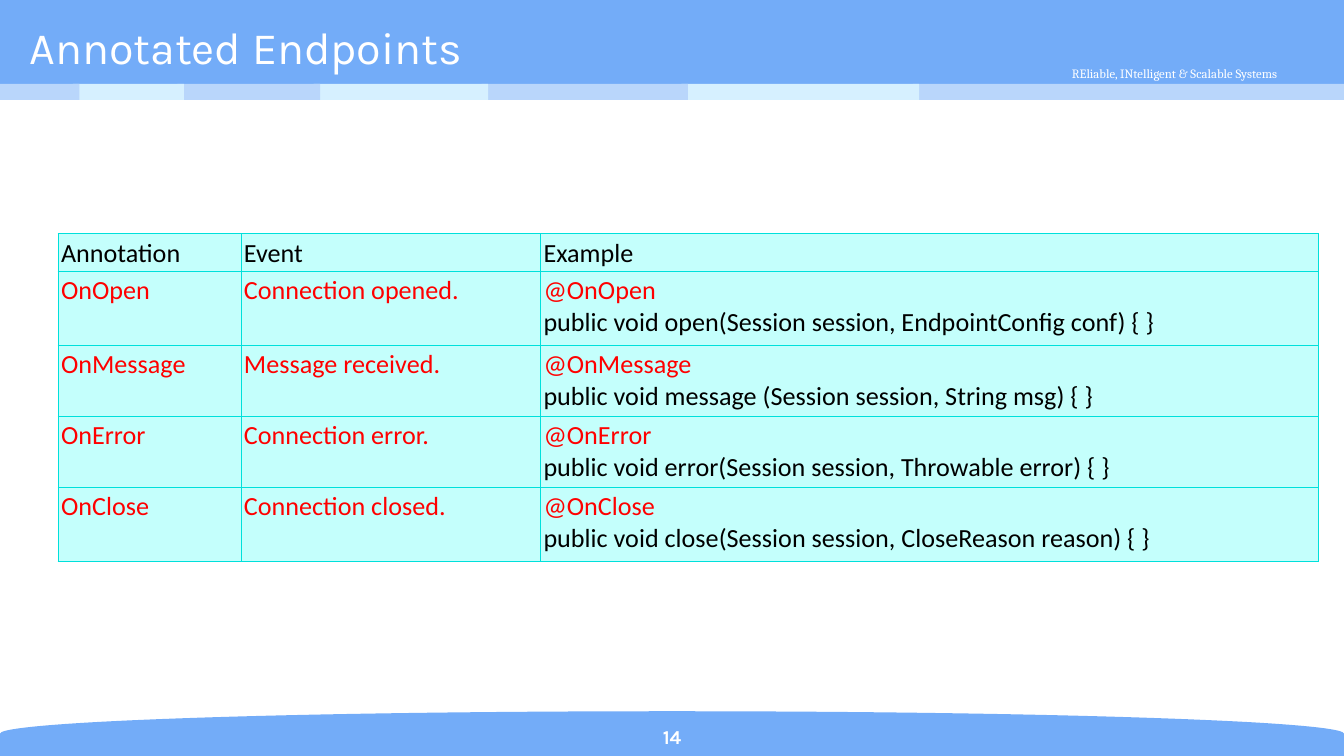
"""Build the slide on annotated endpoints."""
from lxml import etree
from pptx import Presentation
from pptx.dml.color import RGBColor
from pptx.enum.shapes import MSO_SHAPE
from pptx.enum.text import MSO_ANCHOR, MSO_AUTO_SIZE, PP_ALIGN
from pptx.oxml.ns import qn
from pptx.util import Pt

RECT, DELAY = MSO_SHAPE.RECTANGLE, MSO_SHAPE.FLOWCHART_DELAY
TOP, MIDDLE, BOTTOM = MSO_ANCHOR.TOP, MSO_ANCHOR.MIDDLE, MSO_ANCHOR.BOTTOM
LEFT, CENTER = PP_ALIGN.LEFT, PP_ALIGN.CENTER
FIXED = MSO_AUTO_SIZE.NONE

THEME = {
    "blue": "73ACF8", "strips": ("B9D6FB", "D6F0FF"),
    "cell": "C4FFFC", "edge": "00E0DB",
    "title": {"name": "Karla", "size": 24, "color": "FFFFFF", "bold": False},
    "motto": {"name": "Cambria", "size": 6.8, "color": "FFFFFF"},
    "page": {"name": "Karla", "size": 10.5, "color": "FFFFFF", "bold": True},
    "plain": {"name": "Calibri", "size": 14, "color": "000000"},
    "key": {"name": "Calibri", "size": 14, "color": "FF0000"},
}
WIDTH, HEIGHT = 720, 405


def write(para, text, style, align=LEFT):
    para.alignment = align
    run = para.add_run()
    run.text = text
    for name, value in THEME[style].items():
        if name == "color":
            run.font.color.rgb = RGBColor.from_string(value)
        else:
            setattr(run.font, name, Pt(value) if name == "size" else value)


def block(kind, box, color):
    shape = shapes.add_shape(kind, *map(Pt, box))
    shape.shadow.inherit = False
    shape.fill.solid()
    shape.fill.fore_color.rgb = RGBColor.from_string(color)
    shape.line.fill.background()
    return shape


deck = Presentation()
deck.slide_width, deck.slide_height = Pt(WIDTH), Pt(HEIGHT)
slide = deck.slides.add_slide(deck.slide_layouts[5])
shapes = slide.shapes

block(DELAY, (348, 33, 24, WIDTH), THEME["blue"]).rotation = 270
block(RECT, (0, 0, WIDTH, 46.5), THEME["blue"])

strips, left = [], 0
for i in range(7):
    wide = 42.5 + 17 * i if i < 6 else WIDTH - left
    strips.append(((left, 45, wide, 8.5), THEME["strips"][i % 2]))
    left += wide - 3.5
for box, color in reversed(strips):
    block(RECT, box, color)

title = shapes.title
shapes.element.append(title.element)
labels = [
    (title, "Annotated Endpoints", "title", (8.5, 8.5, 537, 32.5), MIDDLE, LEFT),
    (None, "REliable, INtelligent & Scalable Systems", "motto",
     (541.5, 31.5, 175.5, 15.5), TOP, CENTER),
    (None, "14", "page", (320.5, 385, 79, 19), MIDDLE, CENTER),
]
for label, text, style, box, anchor, align in labels:
    label = label or shapes.add_textbox(0, 0, 0, 0)
    for name, value in zip(("left", "top", "width", "height"), box):
        setattr(label, name, Pt(value))
    frame = label.text_frame
    form = {"word_wrap": True, "auto_size": FIXED, "vertical_anchor": anchor}
    for name, value in form.items():
        setattr(frame, name, value)
    write(frame.paragraphs[0], text, style, align)

events = [
    ("OnOpen", "Connection opened.",
     "public void open(Session session, EndpointConfig conf) { }"),
    ("OnMessage", "Message received.",
     "public void message (Session session, String msg) { }"),
    ("OnError", "Connection error.",
     "public void error(Session session, Throwable error) { }"),
    ("OnClose", "Connection closed.",
     "public void close(Session session, CloseReason reason) { }"),
]
rows = [[[(head, "plain")] for head in ("Annotation", "Event", "Example")]]
for name, event, code in events:
    rows.append([[(name, "key")], [(event, "key")],
                 [("@" + name, "key"), (code, "plain")]])

cols, highs = (98, 160.5, 416.5), (20.3, 39.7, 38, 38, 39.7)
table = shapes.add_table(len(rows), len(cols), Pt(31.2), Pt(125.3),
                         Pt(sum(cols)), Pt(sum(highs))).table
table.first_row = table.horz_banding = False
for col, wide in zip(table.columns, cols):
    col.width = Pt(wide)
for row, high, texts in zip(table.rows, highs, rows):
    row.height = Pt(high)
    for cell, lines in zip(row.cells, texts):
        for side in ("left", "right", "top", "bottom"):
            setattr(cell, "margin_" + side, Pt(1.5))
        cell.vertical_anchor = BOTTOM if texts is rows[0] else TOP
        props = cell._tc.get_or_add_tcPr()
        for side in ("lnL", "lnR", "lnT", "lnB"):
            edge = etree.SubElement(props, qn("a:" + side), w=str(Pt(0.75)))
            fill = etree.SubElement(edge, qn("a:solidFill"))
            etree.SubElement(fill, qn("a:srgbClr"), val=THEME["edge"])
        cell.fill.solid()
        cell.fill.fore_color.rgb = RGBColor.from_string(THEME["cell"])
        frame = cell.text_frame
        for i, (text, style) in enumerate(lines):
            para = frame.add_paragraph() if i else frame.paragraphs[0]
            write(para, text, style)

deck.save("out.pptx")
